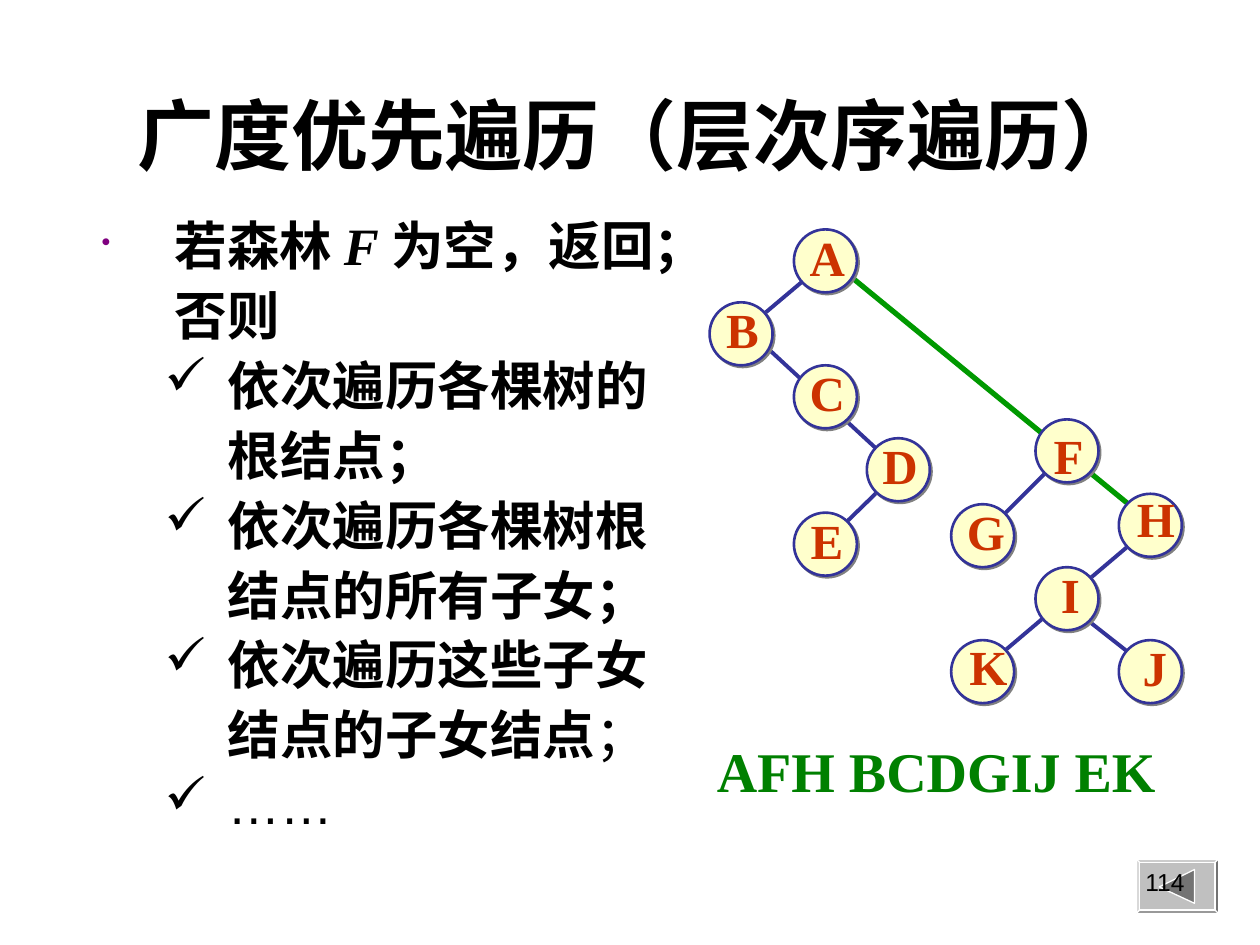
import pptx
import pptx.util
import pptx.dml.color
import pptx.enum.shapes
import pptx.enum.text
from pptx.oxml.ns import qn
from lxml import etree

Cm, Pt = pptx.util.Cm, pptx.util.Pt
SHAPE = pptx.enum.shapes.MSO_SHAPE
ALIGN = pptx.enum.text.PP_ALIGN
ANCHOR = pptx.enum.text.MSO_ANCHOR
SERIF, SANS = "Times New Roman", "Arial"
NODE_SIZE = 1.27
LABEL_W, LABEL_H = 1.2, 1.45

# letter: node centre x, y, then label shift x, y (cm)
NODES = {
    "A": (16.64, 5.26, 0.03, -0.09),
    "B": (14.94, 6.73, 0.03, -0.09),
    "C": (16.64, 8.00, 0.03, -0.09),
    "D": (18.11, 9.47, 0.03, -0.09),
    "E": (16.64, 10.97, 0.03, -0.09),
    "F": (21.51, 9.09, 0.03, 0.09),
    "G": (19.81, 10.80, 0.03, -0.09),
    "H": (23.19, 10.59, 0.08, -0.14),
    "I": (21.51, 12.07, 0.07, -0.09),
    "J": (23.19, 13.54, 0.09, -0.09),
    "K": (19.81, 13.54, 0.08, -0.12),
}

# from x, y, to x, y (cm); an edge may run on behind a middle node
ROOT_EDGE = (17.07, 5.51, 22.99, 10.36)
TREE_EDGES = [
    (17.91, 9.70, 16.84, 10.74),
    (15.16, 6.73, 17.91, 9.27),
    (16.43, 5.46, 15.16, 6.53),
    (21.92, 12.50, 22.99, 13.34),
    (22.99, 10.80, 20.24, 13.13),
    (21.29, 9.32, 20.02, 10.59),
]

STEPS = [
    ("依次遍历各棵树的", "根结点；"),
    ("依次遍历各棵树根", "结点的所有子女；"),
    ("依次遍历这些子女", "结点的子女结点"),
]


def color(value):
    return pptx.dml.color.RGBColor.from_string(value)


def add_run(p, text, size, font, fill="000000", bold=True, italic=False):
    r = p.add_run()
    r.text = text
    r.font.size = Pt(size)
    r.font.name = font
    r.font.bold = bold
    r.font.italic = italic
    r.font.color.rgb = color(fill)


def add_box(s, x, y, w, h, anchor=ANCHOR.TOP, wrap=True):
    tf = s.shapes.add_textbox(Cm(x), Cm(y), Cm(w), Cm(h)).text_frame
    tf.word_wrap = wrap
    tf.vertical_anchor = anchor
    return tf


def add_text(s, x, y, w, h, text, size, font, fill="000000", bold=True,
             align=ALIGN.LEFT, anchor=ANCHOR.TOP, wrap=True):
    p = add_box(s, x, y, w, h, anchor, wrap).paragraphs[0]
    p.alignment = align
    add_run(p, text, size, font, fill, bold)


def add_effects(sp):
    return etree.SubElement(sp._element.spPr, qn("a:effectLst"))


def add_edge(s, edge, line, width):
    sp = s.shapes.add_connector(pptx.enum.shapes.MSO_CONNECTOR.STRAIGHT,
                                *[Cm(v) for v in edge])
    sp.line.color.rgb = color(line)
    sp.line.width = Pt(width)
    add_effects(sp)


def add_node(s, letter, x, y, dx, dy):
    sp = s.shapes.add_shape(SHAPE.OVAL, Cm(x - NODE_SIZE / 2),
                            Cm(y - NODE_SIZE / 2), Cm(NODE_SIZE), Cm(NODE_SIZE))
    sp.fill.solid()
    sp.fill.fore_color.rgb = color("FFFFCC")
    sp.line.color.rgb = color("333399")
    sp.line.width = Pt(1.5)
    shadow = etree.SubElement(add_effects(sp), qn("a:outerShdw"),
                              dist=str(Pt(1.4)), dir="2700000")
    etree.SubElement(shadow, qn("a:srgbClr"), val="808080")
    add_text(s, x + dx - LABEL_W / 2, y + dy - LABEL_H / 2, LABEL_W, LABEL_H,
             letter, 28, SERIF, "CC3300", align=ALIGN.CENTER,
             anchor=ANCHOR.MIDDLE, wrap=False)


def add_line(tf, margin, hanging=0, bullet=None, bullet_fill="000000", scale=100):
    p = tf.paragraphs[0]
    if p.runs:
        p = tf.add_paragraph()
    p.line_spacing = 0.9
    p.space_before = Pt(7.5)
    pPr = p._p.get_or_add_pPr()
    pPr.set("marL", str(Cm(margin)))
    pPr.set("indent", str(-Cm(hanging)))
    if bullet:
        clr = etree.SubElement(pPr, qn("a:buClr"))
        etree.SubElement(clr, qn("a:srgbClr"), val=bullet_fill)
        etree.SubElement(pPr, qn("a:buSzPct"), val=str(scale * 1000))
        etree.SubElement(pPr, qn("a:buChar"), char=bullet)
    return p


def add_body(s):
    tf = add_box(s, 1.8, 4.32, 13.67, 12.8)
    p = add_line(tf, 1.47, 1.47, "•", "800080", 50)
    add_run(p, "若森林 ", 30, SERIF)
    add_run(p, "F ", 30, SERIF, italic=True)
    add_run(p, "为空，返回；", 30, SERIF)
    add_run(add_line(tf, 1.47), "否则", 30, SERIF)
    for first, second in STEPS:
        add_run(add_line(tf, 2.54, 1.27, "✓"), first, 30, SERIF)
        p = add_line(tf, 2.54)
        add_run(p, second, 30, SERIF)
    add_run(p, "；", 30, SERIF, bold=False)
    add_run(add_line(tf, 2.54, 1.27, "✓"), "……", 30, SANS, bold=False)


def add_back_button(s):
    sp = s.shapes.add_shape(SHAPE.BEVEL, Cm(22.91), Cm(17.32), Cm(1.65), Cm(1.09))
    sp.adjustments[0] = 0.06
    fb = s.shapes.build_freeform(Cm(23.37), Cm(17.88))
    fb.add_line_segments([(Cm(24.08), Cm(17.53)), (Cm(24.08), Cm(18.21))])
    arrow = fb.convert_to_shape()
    for part, fill in ((sp, "C0C0C0"), (arrow, "737373")):
        part.shadow.inherit = False
        part.fill.solid()
        part.fill.fore_color.rgb = color(fill)
        part.line.color.rgb = color("FFFFFF")
        part.line.width = Pt(0)


def main():
    prs = pptx.Presentation()
    prs.slide_width, prs.slide_height = Cm(25.4), Cm(19.05)
    s = prs.slides.add_slide(prs.slide_layouts[6])

    # Title and visiting order
    add_text(s, 1.45, 1.17, 22.86, 3.05, "广度优先遍历（层次序遍历）", 44, SANS,
             align=ALIGN.CENTER, anchor=ANCHOR.MIDDLE)
    add_text(s, 14.2, 14.73, 9.63, 1.63, "AFH BCDGIJ EK", 32, SERIF, "008000")

    # Tree: edges first, nodes over them
    add_edge(s, ROOT_EDGE, "009900", 3)
    for edge in TREE_EDGES:
        add_edge(s, edge, "333399", 2.25)
    for letter, place in NODES.items():
        add_node(s, letter, *place)

    # Steps of the traversal
    add_body(s)

    # Back button and page number
    add_back_button(s)
    add_text(s, 18.21, 17.35, 5.92, 1.32, "114", 14, SANS, bold=False,
             align=ALIGN.RIGHT)
    prs.save("out.pptx")


if __name__ == "__main__":
    main()
